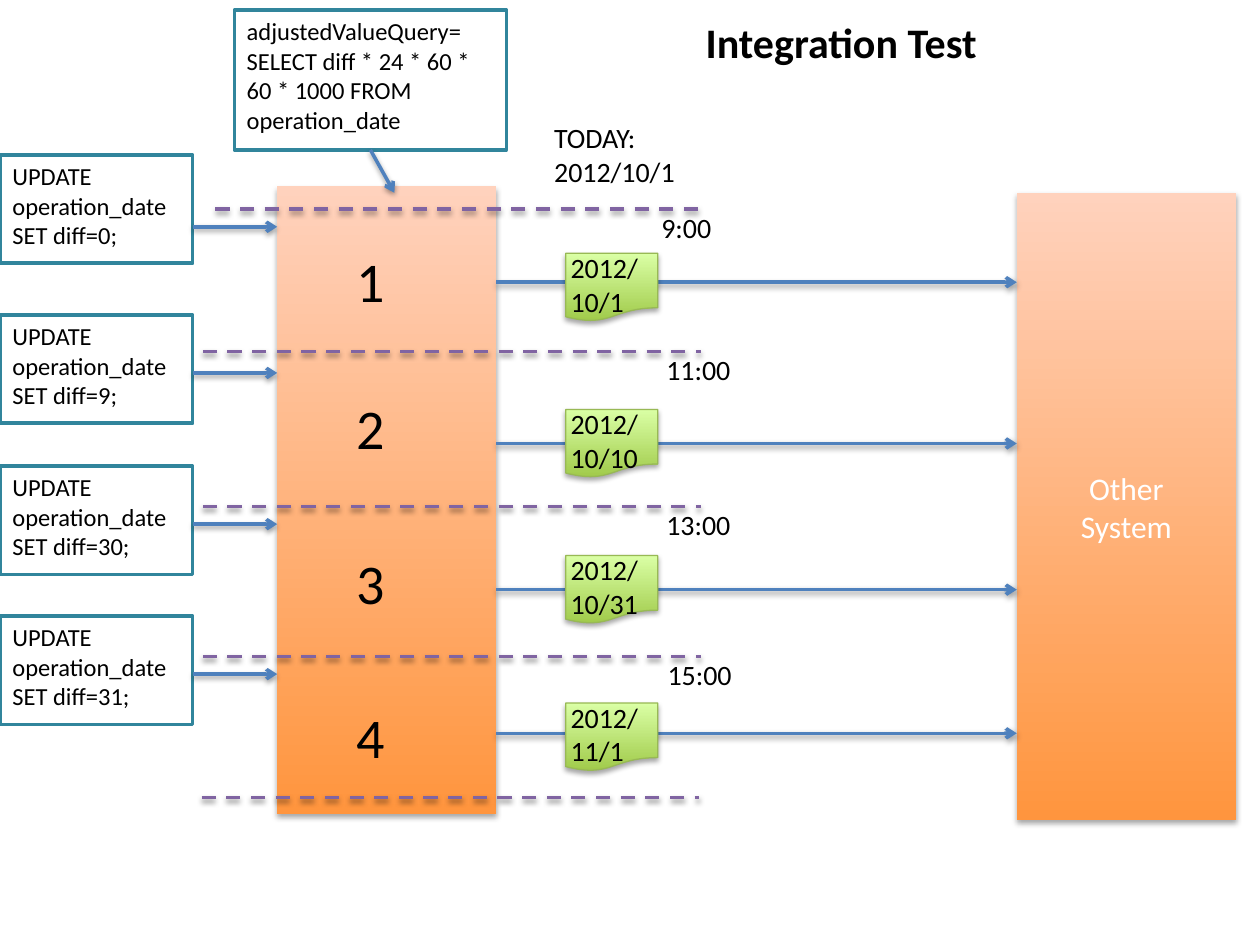
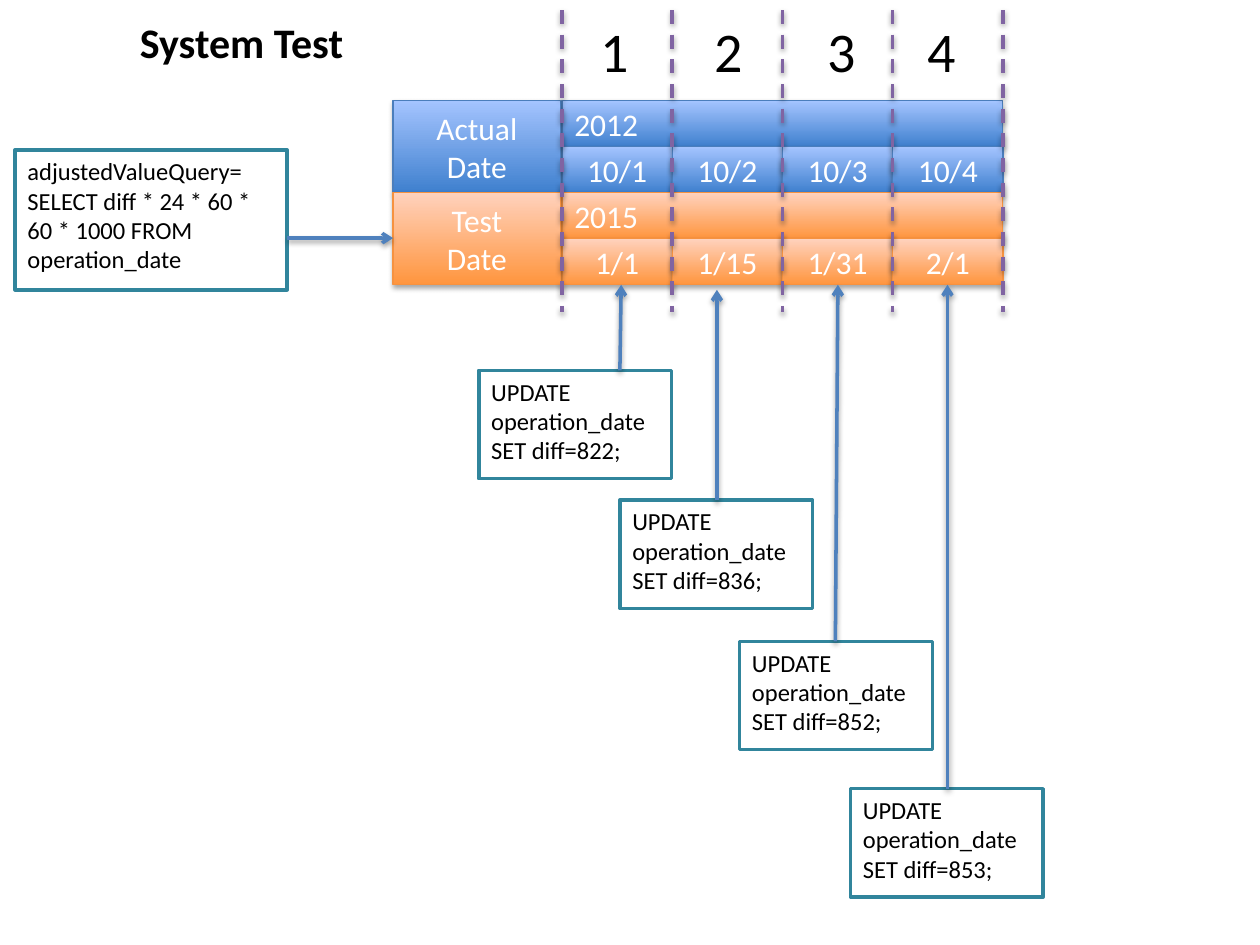
from dataclasses import dataclass

from lxml.etree import SubElement
from pptx import Presentation
from pptx.dml.color import RGBColor
from pptx.enum.dml import MSO_LINE
from pptx.enum.shapes import MSO_CONNECTOR, MSO_SHAPE
from pptx.enum.text import MSO_ANCHOR, MSO_AUTO_SIZE, PP_ALIGN
from pptx.oxml.ns import qn
from pptx.util import Inches, Pt

FONT = "Calibri"
COLORS = {
    "text": "000000",
    "light": "FFFFFF",
    "query": "31859C",
    "arrow": "4F81BD",
    "divider": "8064A2",
}
ADJUSTED_QUERY = (
    "adjustedValueQuery=\nSELECT diff * 24 * 60 * 60 * 1000 FROM operation_date"
)
UPDATE_WIDTH, UPDATE_HEIGHT = 1.53, 0.86


@dataclass(frozen=True)
class Look:
    bottom: str
    top: str
    outline: str | None = None


SYSTEM = Look("FF953E", "FFD2BD")
TEST = Look("FF953E", "FFD2BD", "F69240")
ACTUAL = Look("3F80CE", "A4C4FF", "4B7EBC")
DOCUMENT = Look("A0CA4A", "DAFFA5", "98B955")


@dataclass(frozen=True)
class Stage:
    number: str
    diff: int
    time: str
    date: str
    divider: float
    divider_left: float
    update_top: float
    entry: float
    flow: float
    document_top: float
    time_left: float
    number_top: float


@dataclass(frozen=True)
class Period:
    number: str
    number_left: float
    number_width: float
    diff: int
    update_left: float
    update_top: float
    arrow_from: float
    arrow_to: float
    arrow_end: float


@dataclass(frozen=True)
class Calendar:
    label: str
    year: str
    days: tuple[str, ...]
    look: Look


STAGES = (
    Stage("1", 0, "9:00", "2012/\n10/1", 1.66, 1.71, 1.23, 1.8, 2.24, 2.01, 5.15, 1.91),
    Stage("2", 9, "11:00", "2012/\n10/10", 2.79, 1.61, 2.5, 2.96, 3.52, 3.25, 5.19, 3.07),
    Stage("3", 30, "13:00", "2012/\n10/31", 4.02, 1.61, 3.7, 4.16, 4.68, 4.41, 5.19, 4.3),
    Stage("4", 31, "15:00", "2012/\n11/1", 5.21, 1.61, 4.89, 5.35, 5.82, 5.58, 5.2, 5.53),
)
PERIODS = (
    Period("1", 4.67, 0.8, 822, 3.8, 2.94, 4.92, 4.93, 2.26),
    Period("2", 5.57, 0.61, 836, 4.92, 3.97, 5.69, 5.69, 2.3),
    Period("3", 6.47, 0.57, 852, 5.87, 5.09, 6.63, 6.65, 2.26),
    Period("4", 7.26, 0.7, 853, 6.75, 6.26, 7.52, 7.52, 2.26),
)
CALENDARS = (
    Calendar("Actual Date", "2012", ("10/1", "10/2", "10/3", "10/4"), ACTUAL),
    Calendar("Test\nDate", "2015", ("1/1", "1/15", "1/31", "2/1"), TEST),
)


def rgb(name: str) -> RGBColor:
    return RGBColor.from_string(COLORS.get(name, name))


def write(shape, text: str, size: int, color: str = "text", align=PP_ALIGN.LEFT,
          anchor=MSO_ANCHOR.TOP, bold: bool = False) -> None:
    frame = shape.text_frame
    frame.word_wrap = True
    frame.auto_size = MSO_AUTO_SIZE.NONE
    frame.vertical_anchor = anchor
    frame.text = text
    for paragraph in frame.paragraphs:
        paragraph.alignment = align
        paragraph.font.name = FONT
        paragraph.font.size = Pt(size)
        paragraph.font.bold = bold
        paragraph.font.color.rgb = rgb(color)


def cast_shadow(effects, opacity: int, distance: float) -> None:
    shadow = SubElement(effects, qn("a:outerShdw"), blurRad=str(Pt(3.1)),
                        dist=str(Pt(distance)), dir="5400000", rotWithShape="0")
    black = SubElement(shadow, qn("a:srgbClr"), val="000000")
    SubElement(black, qn("a:alpha"), val=str(opacity * 1000))


def add_title(slide, text: str, left: float) -> None:
    title = slide.shapes.title
    title.left, title.top = Inches(left), Inches(0.08)
    title.width, title.height = Inches(2.57), Inches(0.56)
    write(title, text, 24, bold=True)


def add_text(slide, text: str, left: float, top: float, width: float,
             height: float, size: int = 16) -> None:
    label = slide.shapes.add_textbox(
        Inches(left), Inches(top), Inches(width), Inches(height))
    write(label, text, size)


def add_block(slide, look: Look, left: float, top: float, width: float, height: float,
              text: str = "", align=PP_ALIGN.CENTER, kind=MSO_SHAPE.RECTANGLE) -> None:
    block = slide.shapes.add_shape(
        kind, Inches(left), Inches(top), Inches(width), Inches(height))
    block.fill.gradient()
    block.fill.gradient_angle = 90
    for stop, color in zip(block.fill.gradient_stops, (look.bottom, look.top)):
        stop.color.rgb = rgb(color)
    if look.outline:
        block.line.color.rgb = rgb(look.outline)
        block.line.width = Pt(0.75)
    else:
        block.line.fill.background()
    block.shadow.inherit = False
    cast_shadow(block._element.spPr.find(qn("a:effectLst")), 35, 1.8)
    if text:
        write(block, text, 18, "light", align, MSO_ANCHOR.MIDDLE)


def add_query(slide, text: str, left: float, top: float, width: float,
              height: float) -> None:
    query = slide.shapes.add_shape(
        MSO_SHAPE.RECTANGLE, Inches(left), Inches(top), Inches(width), Inches(height))
    query.shadow.inherit = False
    query.fill.background()
    query.line.color.rgb = rgb("query")
    query.line.width = Pt(2)
    write(query, text, 14)


def add_adjusted_query(slide, left: float, top: float) -> None:
    add_query(slide, ADJUSTED_QUERY, left, top, 2.16, 1.11)


def add_update(slide, diff: int, left: float, top: float) -> None:
    add_query(slide, f"UPDATE operation_date SET diff={diff};", left, top,
              UPDATE_WIDTH, UPDATE_HEIGHT)


def add_line(slide, x1: float, y1: float, x2: float, y2: float, color: str):
    connector = slide.shapes.add_connector(
        MSO_CONNECTOR.STRAIGHT, Inches(x1), Inches(y1), Inches(x2), Inches(y2))
    connector.line.color.rgb = rgb(color)
    connector.line.width = Pt(2)
    cast_shadow(SubElement(connector._element.spPr, qn("a:effectLst")), 38, 1.6)
    return connector


def add_arrow(slide, x1: float, y1: float, x2: float, y2: float) -> None:
    arrow = add_line(slide, x1, y1, x2, y2, "arrow")
    SubElement(arrow.line._get_or_add_ln(), qn("a:tailEnd"), type="arrow")


def add_divider(slide, x1: float, y1: float, x2: float, y2: float) -> None:
    add_line(slide, x1, y1, x2, y2, "divider").line.dash_style = MSO_LINE.DASH


def build_integration_test(slide) -> None:
    add_title(slide, "Integration Test", 5.5)
    tested_left, other_left, system_width, system_height = 2.2, 8.07, 1.74, 4.98
    add_block(slide, SYSTEM, tested_left, 1.48, system_width, system_height)
    add_block(slide, SYSTEM, other_left, 1.53, system_width, system_height,
              "Other\nSystem")
    add_text(slide, "TODAY:\n2012/10/1", 4.3, 0.91, 1.57, 0.64)
    add_adjusted_query(slide, 1.86, 0.08)
    add_arrow(slide, 2.94, 1.19, 3.13, 1.53)
    for stage in STAGES:
        add_divider(slide, stage.divider_left, stage.divider, 5.56, stage.divider)
        add_update(slide, stage.diff, 0, stage.update_top)
        add_arrow(slide, UPDATE_WIDTH, stage.entry, tested_left, stage.entry)
        add_arrow(slide, tested_left + system_width, stage.flow, other_left, stage.flow)
        add_text(slide, stage.time, stage.time_left, stage.divider - 0.04, 0.72, 0.46)
        add_block(slide, DOCUMENT, 4.49, stage.document_top, 0.73, 0.54,
                  kind=MSO_SHAPE.FLOWCHART_DOCUMENT)
        add_text(slide, stage.date, 4.43, stage.document_top - 0.07, 1, 0.64)
        add_text(slide, stage.number, 2.73, stage.number_top, 0.8, 0.59, 32)
    add_divider(slide, 1.6, 6.33, 5.55, 6.33)


def build_system_test(slide) -> None:
    add_title(slide, "System Test", 1.01)
    label_left, label_width = 3.12, 1.33
    days_left, days_width, calendar_height = 4.46, 3.5, 0.73
    day_width, row_height = days_width / len(PERIODS), calendar_height / 2
    for index, calendar in enumerate(CALENDARS):
        top = 0.8 + index * calendar_height
        add_block(slide, calendar.look, days_left, top, days_width, row_height,
                  calendar.year, PP_ALIGN.LEFT)
        for column, day in enumerate(calendar.days):
            add_block(slide, calendar.look, days_left + column * day_width,
                      top + row_height, day_width, row_height, day)
        add_block(slide, calendar.look, label_left, top, label_width,
                  calendar_height, calendar.label)
    add_adjusted_query(slide, 0.12, 1.19)
    add_arrow(slide, 2.28, 1.89, label_left, 1.89)
    for period in PERIODS:
        add_update(slide, period.diff, period.update_left, period.update_top)
        add_text(slide, period.number, period.number_left, 0.08,
                 period.number_width, 0.59, 32)
    for period in PERIODS:
        add_arrow(slide, period.arrow_from, period.update_top,
                  period.arrow_to, period.arrow_end)
    for boundary in range(len(PERIODS) + 1):
        x = days_left + boundary * day_width
        add_divider(slide, x, 0.08, x, 2.48)


deck = Presentation()
deck.slide_width, deck.slide_height = Inches(10), Inches(7.5)
title_only = deck.slide_layouts[5]
for build in (build_integration_test, build_system_test):
    build(deck.slides.add_slide(title_only))
deck.save("out.pptx")
